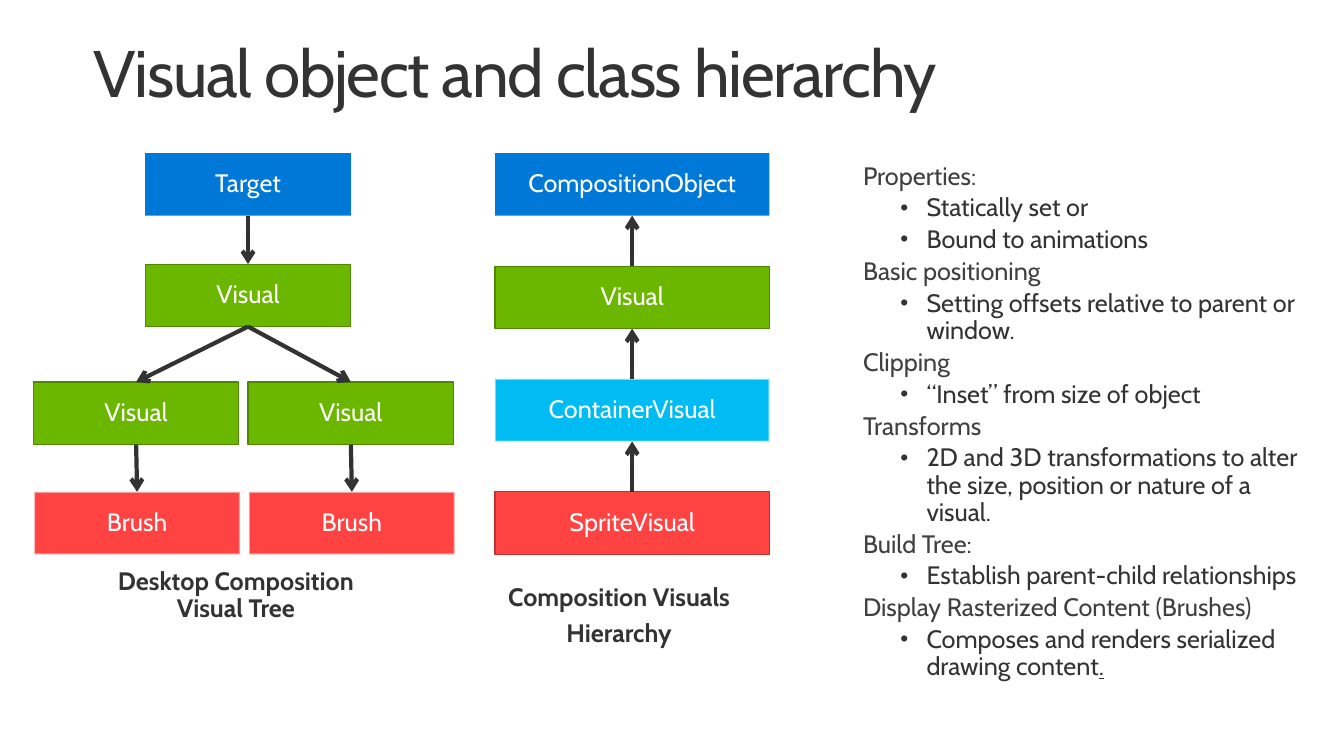
from dataclasses import dataclass

from lxml.etree import SubElement
from pptx import Presentation
from pptx.dml.color import RGBColor
from pptx.enum.shapes import MSO_CONNECTOR as Wire, MSO_SHAPE as Form
from pptx.enum.text import MSO_ANCHOR as Anchor, MSO_AUTO_SIZE as Fit, PP_ALIGN as Align
from pptx.oxml.ns import qn
from pptx.util import Emu, Pt

SCALE = 9144  # EMU per px, 100 px to the inch
FONT = "Cabin"
DARK, GREY, WHITE = "333333", "404040", "FFFFFF"
TOP, BOTTOM = 0, 2
ROW = 62


@dataclass(frozen=True)
class Style:
    fill: str
    edge: str = ""
    width: float = 0.85
    alpha: int = 100


@dataclass(frozen=True)
class Node:
    name: str
    text: str
    left: int
    top: int
    width: int
    style: Style


@dataclass(frozen=True)
class Topic:
    head: str
    points: tuple[str, ...]
    tail: str = ""  # underlined end of the last point


BLUE = Style("0078D7")
GREEN = Style("6BB700", "4F8700")
CYAN = Style("00BCF2", "F9F9F9", 1.35, 50)
RED = Style("FF4343", "F9F9F9", 1.35, 50)
SPRITE = Style("FF4343", "BD3232")

TREE = [
    Node("target", "Target", 144, 152, 204, BLUE),
    Node("root", "Visual", 144, 262, 204, GREEN),
    Node("left", "Visual", 33, 379, 204, GREEN),
    Node("right", "Visual", 246, 379, 204, GREEN),
    Node("left brush", "Brush", 34, 488, 204, RED),
    Node("right brush", "Brush", 247, 488, 204, RED),
]
LINKS = [
    ("target", "root"),
    ("root", "left"),
    ("root", "right"),
    ("left", "left brush"),
    ("right", "right brush"),
]
CLASSES = [
    Node(text, text, 491, 152 + 112 * step, 272, style)
    for step, (text, style) in enumerate([
        ("CompositionObject", BLUE),
        ("Visual", GREEN),
        ("ContainerVisual", CYAN),
        ("SpriteVisual", SPRITE),
    ])
]
TOPICS = [
    Topic("Properties:", ("Statically set or", "Bound to animations")),
    Topic("Basic positioning", ("Setting offsets relative to parent or window.",)),
    Topic("Clipping", ("“Inset” from size of object",)),
    Topic("Transforms", (
        "2D and 3D transformations to alter the size, position or nature of a visual.",)),
    Topic("Build Tree:", ("Establish parent-child relationships",)),
    Topic("Display Rasterized Content (Brushes)", (
        "Composes and renders serialized drawing content",), "."),
]


def px(count: int) -> Emu:
    return Emu(count * SCALE)


def tint(code: str) -> RGBColor:
    return RGBColor.from_string(code)


def frame(shape, side: int, edge: int, anchor=Anchor.TOP):
    """Set wrapping, insets and anchor, and return the text frame."""
    body = shape.text_frame
    body.word_wrap = True
    body.margin_left = body.margin_right = px(side)
    body.margin_top = body.margin_bottom = px(edge)
    body.vertical_anchor = anchor
    return body


def add_para(body, first: bool, gap: float = 0, align=Align.LEFT):
    para = body.paragraphs[0] if first else body.add_paragraph()
    para.alignment = align
    para.line_spacing = 0.9
    para.space_before = Pt(0 if first else gap)
    return para


def add_run(para, text: str, color: str, size: int = 18, bold: bool = False):
    run = para.add_run()
    run.text = text
    run.font.name = FONT
    run.font.size = Pt(size)
    run.font.bold = bold
    run.font.color.rgb = tint(color)
    return run


def indent(para, left: int, hang: int) -> None:
    props = para._p.get_or_add_pPr()
    props.set("marL", str(px(left)))
    props.set("indent", str(px(-hang)))


def bullet(para) -> None:
    props = para._p.get_or_add_pPr()
    SubElement(props, qn("a:buSzPct"), val="90000")
    SubElement(props, qn("a:buFont"), typeface="Arial")
    SubElement(props, qn("a:buChar"), char="•")
    para.level = 1
    indent(para, 63, 26)


def add_box(slide, left: int, top: int, width: int, height: int):
    return slide.shapes.add_textbox(px(left), px(top), px(width), px(height))


def add_title(slide, text: str) -> None:
    body = frame(add_box(slide, 77, 27, 1275, 98), 16, 10, Anchor.MIDDLE)
    run = add_run(add_para(body, True), text, DARK, 47)
    run.font._element.set("spc", "-100")


def add_label(slide, left: int, top: int, height: int, lines: list[str]) -> None:
    body = frame(add_box(slide, left, top, 270, height), 15, 12)
    body.auto_size = Fit.SHAPE_TO_FIT_TEXT
    for step, line in enumerate(lines):
        add_run(add_para(body, step == 0, 6, Align.CENTER), line, DARK, bold=True)


def add_topics(slide, topics: list[Topic]) -> None:
    body = frame(add_box(slide, 840, 152, 486, 567), 16, 10)
    for step, topic in enumerate(topics):
        para = add_para(body, step == 0, 3.3)
        indent(para, 37, 37)
        add_run(para, topic.head, GREY)
        for point in topic.points:
            para = add_para(body, False, 3.3)
            bullet(para)
            add_run(para, point, DARK)
        if topic.tail:
            add_run(para, topic.tail, DARK).font.underline = True


def add_node(slide, node: Node):
    shape = slide.shapes.add_shape(
        Form.RECTANGLE, px(node.left), px(node.top), px(node.width), px(ROW))
    shape.shadow.inherit = False
    shape.fill.solid()
    shape.fill.fore_color.rgb = tint(node.style.fill)
    if node.style.edge:
        shape.line.color.rgb = tint(node.style.edge)
        shape.line.width = Pt(node.style.width)
        if node.style.alpha < 100:
            color = shape.line._ln.find(".//" + qn("a:srgbClr"))
            SubElement(color, qn("a:alpha"), val=str(node.style.alpha * 1000))
    else:
        shape.line.fill.background()
    body = frame(shape, 20, 16, Anchor.MIDDLE)
    add_run(add_para(body, True, align=Align.CENTER), node.text, WHITE)
    return shape


def add_arrow(slide, start, start_side: int, end, end_side: int) -> None:
    wire = slide.shapes.add_connector(Wire.STRAIGHT, 0, 0, 0, 0)
    wire.begin_connect(start, start_side)
    wire.end_connect(end, end_side)
    wire.line.color.rgb = tint(DARK)
    wire.line.width = Pt(3)
    SubElement(wire.line._ln, qn("a:tailEnd"), type="arrow")
    SubElement(wire._element.spPr, qn("a:effectLst"))


def main() -> None:
    deck = Presentation()
    deck.slide_width, deck.slide_height = px(1333), px(750)
    slide = deck.slides.add_slide(deck.slide_layouts[6])

    add_title(slide, "Visual object and class hierarchy")
    add_label(slide, 479, 568, 87, ["Composition Visuals", "Hierarchy"])
    add_label(slide, 99, 552, 106, ["Desktop Composition Visual Tree"])
    add_topics(slide, TOPICS)

    tree = {node.name: add_node(slide, node) for node in TREE}
    for start, end in LINKS:
        add_arrow(slide, tree[start], BOTTOM, tree[end], TOP)

    chain = [add_node(slide, node) for node in CLASSES]
    for base, child in zip(chain, chain[1:]):
        add_arrow(slide, child, TOP, base, BOTTOM)

    deck.save("out.pptx")


if __name__ == "__main__":
    main()
